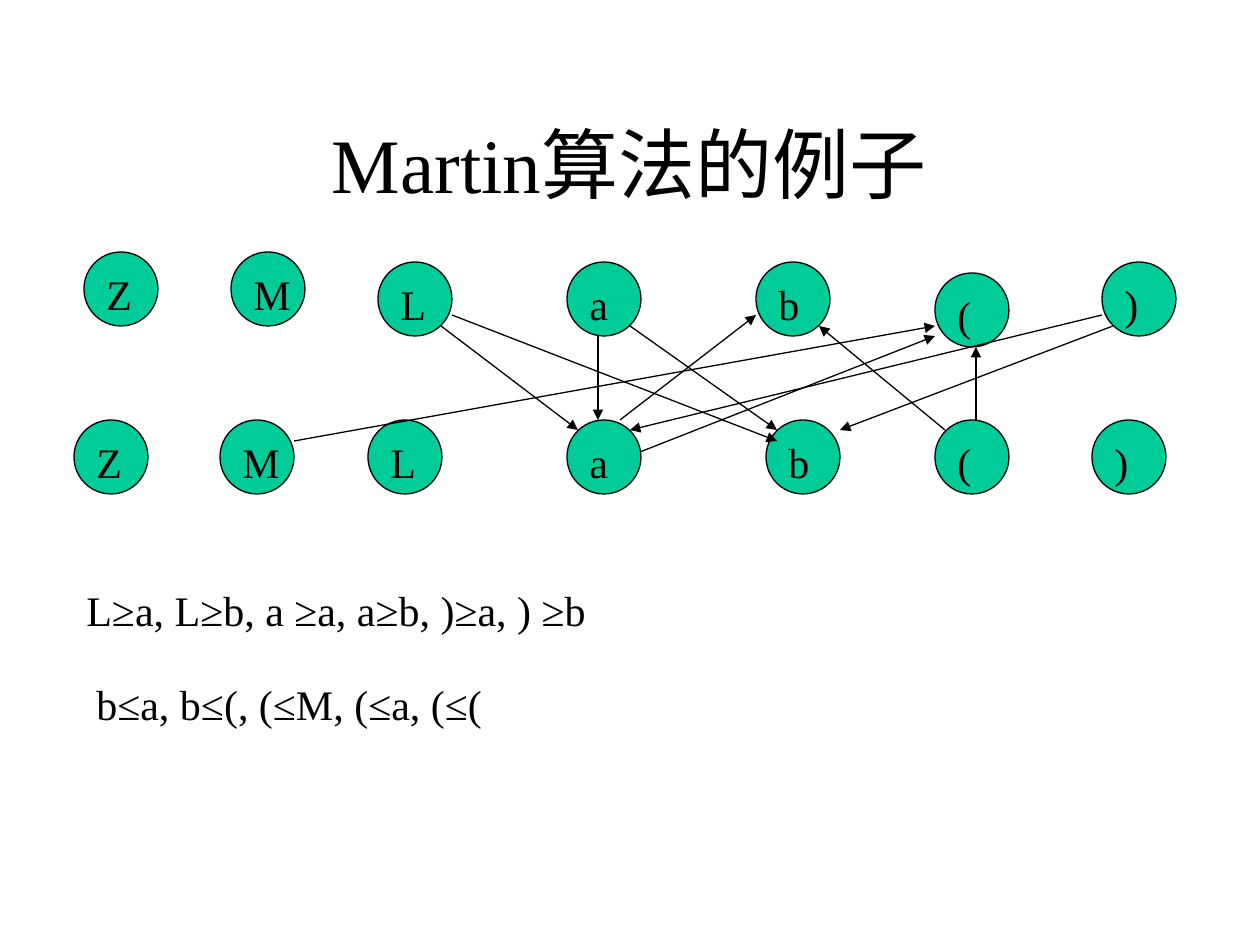
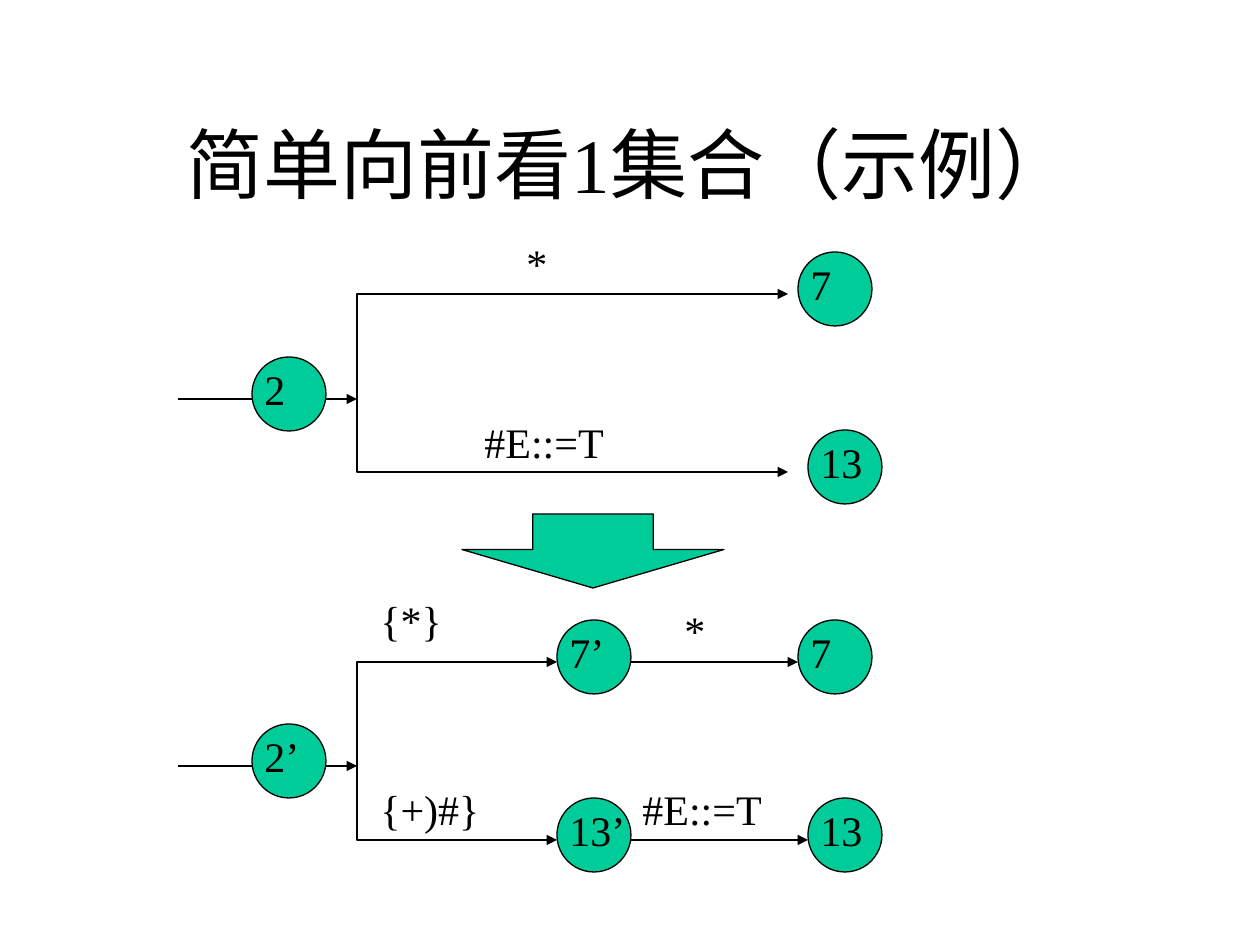
from lxml import etree
from pptx import Presentation
from pptx.dml.color import RGBColor
from pptx.enum.shapes import MSO_CONNECTOR, MSO_SHAPE
from pptx.enum.text import MSO_ANCHOR, MSO_AUTO_SIZE, PP_ALIGN
from pptx.oxml.ns import qn
from pptx.util import Pt

STRAIGHT = MSO_CONNECTOR.STRAIGHT
ELLIPSE = MSO_SHAPE.OVAL
DOWN_ARROW = MSO_SHAPE.DOWN_ARROW
MIDDLE = MSO_ANCHOR.MIDDLE
FIXED, GROW = MSO_AUTO_SIZE.NONE, MSO_AUTO_SIZE.SHAPE_TO_FIT_TEXT
CENTER, LEFT = PP_ALIGN.CENTER, PP_ALIGN.LEFT

PIXEL = 914400 / 126
FONT = "Times New Roman"
COLORS = {"ink": "000000", "node": "00CC99"}
INK = RGBColor.from_string(COLORS["ink"])
NODE = RGBColor.from_string(COLORS["node"])
NODE_SIZE = 74
LABEL_HEIGHT = 63
FORK_DROP = 178


def emu(*pixels):
    return [round(pixel * PIXEL) for pixel in pixels]


def draw_outline(shape, ends=()):
    shape.line.color.rgb = INK
    shape.line.width = Pt(0.74)
    properties = shape.element.spPr
    outline = properties.find(qn("a:ln"))
    for end in ends:
        etree.SubElement(outline, qn(f"a:{end}"), type="triangle")
    etree.SubElement(properties, qn("a:effectLst"))


graph_nodes = [
    ("Z", 84, 252), ("M", 231, 252), ("L", 378, 262), ("a", 567, 262),
    ("b", 756, 262), ("(", 935, 273), (")", 1102, 262),
    ("Z", 74, 420), ("M", 220, 420), ("L", 368, 420), ("a", 567, 420),
    ("b", 766, 420), ("(", 935, 420), (")", 1092, 420),
]
graph_arrows = [
    (452, 315, 777, 441), (441, 326, 578, 430), (598, 336, 598, 420),
    (630, 326, 777, 430), (294, 441, 935, 326), (1102, 315, 630, 430),
    (1113, 326, 840, 430), (620, 420, 756, 315), (640, 452, 935, 336),
    (945, 430, 819, 326), (976, 420, 976, 347),
]
state_nodes = [
    ("2", 252, 357), ("7", 798, 252), ("13", 808, 430),
    ("2’", 252, 724), ("7’", 557, 620), ("13’", 557, 798),
    ("7", 798, 620), ("13", 808, 798),
]
pages = [
    {
        "title": "Martin算法的例子",
        "nodes": graph_nodes,
        "inset": 10,
        "forks": [],
        "stems": [],
        "arrows": graph_arrows,
        "labels": [
            ("L≥a, L≥b, a ≥a, a≥b, )≥a, ) ≥b", 74, 578, 998),
            ("b≤a, b≤(, (≤M, (≤a, (≤(", 84, 672, 766),
        ],
        "blocks": [],
    },
    {
        "title": "简单向前看1集合（示例）",
        "nodes": state_nodes,
        "inset": 0,
        "forks": [(357, 294, 788), (357, 662, 557)],
        "stems": [(178, 399, 252, 399), (178, 766, 252, 766)],
        "arrows": [
            (326, 399, 357, 399), (326, 766, 357, 766),
            (630, 662, 798, 662), (630, 840, 808, 840),
        ],
        "labels": [
            ("*", 514, 231, 63), ("#E::=T", 472, 410, 168),
            ("{*}", 368, 588, 168), ("{+)#}", 368, 777, 158),
            ("*", 672, 598, 63), ("#E::=T", 630, 777, 168),
        ],
        "blocks": [(462, 514, 262, 74)],
    },
]

deck = Presentation()
deck.slide_width, deck.slide_height = emu(1260, 945)

for content in pages:
    page = deck.slides.add_slide(deck.slide_layouts[5])
    shapes = page.shapes
    title = shapes.title
    title.left, title.top, title.width, title.height = emu(94, 84, 1071, 158)
    frame = title.text_frame
    frame.text = content["title"]
    frame.vertical_anchor = MIDDLE
    frame.auto_size = FIXED
    texts = [(frame.paragraphs[0], 44, CENTER)]

    labels = list(content["labels"])
    for name, left, top in content["nodes"]:
        node = shapes.add_shape(ELLIPSE, *emu(left, top, NODE_SIZE, NODE_SIZE))
        node.fill.solid()
        node.fill.fore_color.rgb = NODE
        draw_outline(node)
        inset = content["inset"]
        width = 126 if name.startswith("13") else 63 + inset
        labels.append((name, left + inset, top + inset, width))

    for left, top, right in content["forks"]:
        bottom = top + FORK_DROP
        builder = shapes.build_freeform(right, top, scale=PIXEL)
        builder.add_line_segments(
            [(left, top), (left, bottom), (right, bottom)], close=False)
        fork = builder.convert_to_shape()
        fork.fill.background()
        draw_outline(fork, ("headEnd", "tailEnd"))

    for kind, ends in (("stems", ()), ("arrows", ("tailEnd",))):
        for points in content[kind]:
            draw_outline(shapes.add_connector(STRAIGHT, *emu(*points)), ends)

    for position in content["blocks"]:
        block = shapes.add_shape(DOWN_ARROW, *emu(*position))
        block.adjustments[0] = 0.46
        block.adjustments[1] = 0.52
        block.fill.solid()
        block.fill.fore_color.rgb = NODE
        draw_outline(block)

    for text, left, top, width in labels:
        box = shapes.add_textbox(*emu(left, top, width, LABEL_HEIGHT))
        frame = box.text_frame
        frame.text = text
        frame.word_wrap = True
        frame.auto_size = GROW
        para = frame.paragraphs[0]
        para.space_before = Pt(15)
        texts.append((para, 24, LEFT))

    for para, size, alignment in texts:
        para.alignment = alignment
        para.font.name = FONT
        para.font.size = Pt(size)
        para.font.color.rgb = INK

deck.save("out.pptx")
